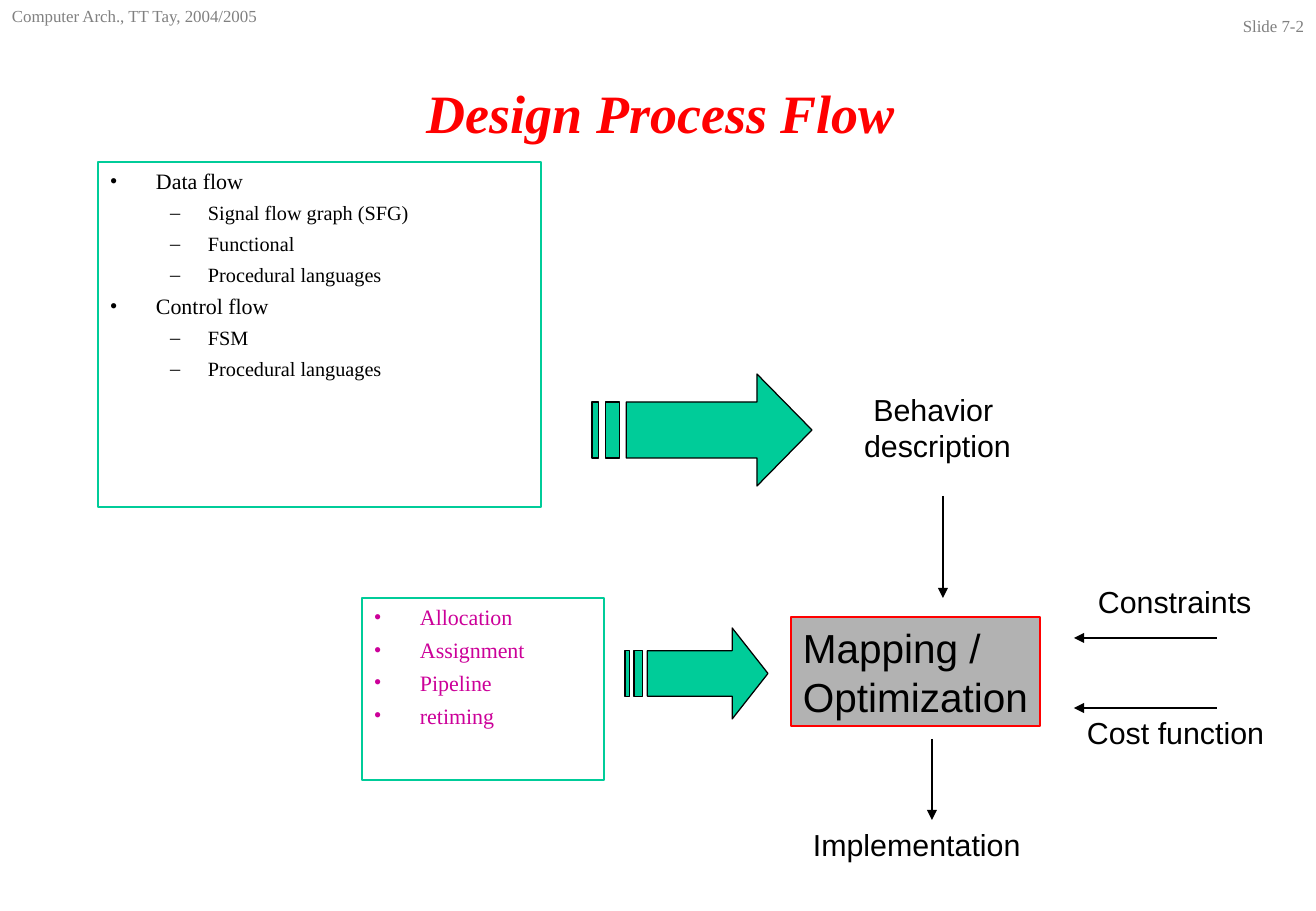
from lxml import etree
from pptx import Presentation
from pptx.enum.shapes import MSO_CONNECTOR, MSO_SHAPE
from pptx.enum.text import MSO_ANCHOR, PP_ALIGN
from pptx.dml.color import RGBColor
from pptx.oxml.ns import qn
from pptx.util import Pt

RECT = MSO_SHAPE.RECTANGLE
STRAIGHT = MSO_CONNECTOR.STRAIGHT
TOP, MIDDLE = MSO_ANCHOR.TOP, MSO_ANCHOR.MIDDLE
LEFT, CENTER, RIGHT = PP_ALIGN.LEFT, PP_ALIGN.CENTER, PP_ALIGN.RIGHT

SCALE = 7526  # EMU in one px
WIDTH, HEIGHT = 1316, 911
SERIF, SANS = "Times New Roman", "Arial"
COLORS = {
    "black": "000000",
    "gray": "808080",
    "silver": "B2B2B2",
    "red": "FF0000",
    "green": "00CC99",
    "purple": "CC0099",
}
# Per level: bullet, text size, left margin, hanging indent
LEVELS = [("•", 13, 46, 46), ("–", 12, 98, 38)]


def emu(px):
    return round(px * SCALE)


def rgb(name):
    return RGBColor.from_string(COLORS[name])


class Board:
    def __init__(self, deck):
        self.slide = deck.slides.add_slide(deck.slide_layouts[6])
        self.shapes = self.slide.shapes

    def paint(self, shape, fill, line):
        shape.shadow.inherit = False
        if fill:
            shape.fill.solid()
            shape.fill.fore_color.rgb = rgb(fill)
        else:
            shape.fill.background()
        shape.line.color.rgb = rgb(line)
        shape.line.width = Pt(0.75)

    def rect(self, box, line, fill=None):
        shape = self.shapes.add_shape(RECT, *map(emu, box))
        self.paint(shape, fill, line)
        return shape

    def run(self, para, text, size, font, color, strong=False):
        run = para.add_run()
        run.text = text
        run.font.size = Pt(size)
        run.font.name = font
        run.font.color.rgb = rgb(color)
        run.font.bold = run.font.italic = strong

    def letter(self, shape, lines, size, font, color, align=LEFT,
               anchor=TOP, wrap=False, strong=False):
        frame = shape.text_frame
        frame.word_wrap = wrap
        frame.vertical_anchor = anchor
        for i, line in enumerate(lines):
            para = frame.add_paragraph() if i else frame.paragraphs[0]
            para.alignment = align
            self.run(para, line, size, font, color, strong)

    def label(self, box, lines, size=18, font=SANS, color="black", **style):
        shape = self.shapes.add_textbox(*map(emu, box))
        self.letter(shape, lines, size, font, color, **style)

    def bullets(self, box, items, color):
        frame = self.rect(box, "green").text_frame
        frame.word_wrap = True
        frame.vertical_anchor = TOP
        for i, (level, text) in enumerate(items):
            mark, size, margin, hang = LEVELS[level]
            para = frame.add_paragraph() if i else frame.paragraphs[0]
            props = para._p.get_or_add_pPr()
            props.set("marL", str(emu(margin)))
            props.set("indent", str(-emu(hang)))
            etree.SubElement(props, qn("a:buFont"), typeface=SERIF)
            etree.SubElement(props, qn("a:buChar"), char=mark)
            para.level = level
            para.alignment = LEFT
            if i:
                para.space_before = Pt(3.8)
            self.run(para, text, size, SERIF, color)

    def arrow(self, *ends):
        link = self.shapes.add_connector(STRAIGHT, *map(emu, ends))
        link.line.color.rgb = rgb("black")
        link.line.width = Pt(0.75)
        props = link._element.spPr
        etree.SubElement(props.find(qn("a:ln")), qn("a:tailEnd"), type="triangle")
        etree.SubElement(props, qn("a:effectLst"))

    def striped(self, left, top, width, height):
        # Outlines on a grid of 32 columns and 4 rows
        head = [(5, 1), (24, 1), (24, 0), (32, 2), (24, 4), (24, 3), (5, 3)]
        bars = [[(a, 1), (b, 1), (b, 3), (a, 3)] for a, b in ((0, 1), (2, 4))]
        paths = [[(emu(left + width * c / 32), emu(top + height * r / 4))
                  for c, r in points] for points in (head, *bars)]
        pen = self.shapes.build_freeform(*paths[0][0])
        pen.add_line_segments(paths[0][1:])
        for points in paths[1:]:
            pen.move_to(*points[0])
            pen.add_line_segments(points[1:])
        self.paint(pen.convert_to_shape(), "green", "black")


def main():
    deck = Presentation()
    deck.slide_width, deck.slide_height = emu(WIDTH), emu(HEIGHT)
    board = Board(deck)

    # Header and title
    board.label((1194, 10, 122, 30), ["Slide 7-2"], 10, SERIF, "gray",
                align=RIGHT, wrap=True)
    board.label((0, 0, 294, 40), ["Computer Arch., TT Tay, 2004/2005"],
                10, SERIF, "gray", wrap=True)
    board.label((106, 75, 1110, 73), ["Design Process Flow"], 32, SERIF, "red",
                align=CENTER, anchor=MIDDLE, wrap=True, strong=True)

    # Bullet boxes
    board.bullets((98, 162, 443, 345), [
        (0, "Data flow"),
        (1, "Signal flow graph (SFG)"),
        (1, "Functional"),
        (1, "Procedural languages"),
        (0, "Control flow"),
        (1, "FSM"),
        (1, "Procedural languages"),
    ], "black")
    tasks = ["Allocation", "Assignment", "Pipeline", "retiming"]
    board.bullets((362, 598, 242, 182), [(0, task) for task in tasks], "purple")

    # Flow steps
    board.label((852, 385, 171, 85), ["Behavior ", "description"], align=CENTER)
    step = board.rect((791, 617, 249, 109), "red", "silver")
    board.letter(step, ["Mapping /", "Optimization"], 24, SANS, "black")
    board.label((801, 820, 241, 49), ["Implementation"])
    board.label((1086, 577, 186, 49), ["Constraints"])
    board.label((1075, 708, 202, 49), ["Cost function"])

    # Thin arrows
    for x, start, end in ((943, 496, 598), (932, 739, 820)):
        board.arrow(x, start, x, end)
    for y in (638, 708):
        board.arrow(1217, y, 1074, y)

    # Striped arrows
    board.striped(592, 374, 220, 112)
    board.striped(625, 628, 143, 91)

    deck.save("out.pptx")


if __name__ == "__main__":
    main()
